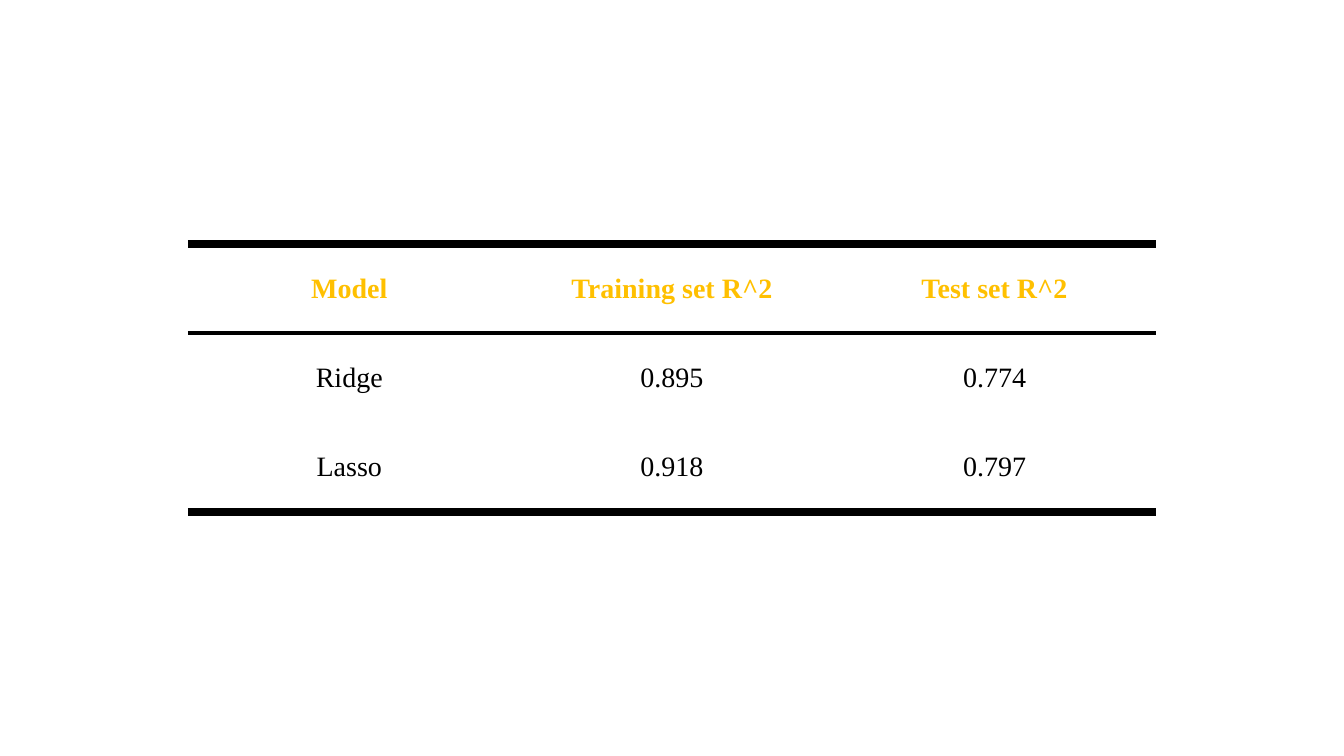
"""Build a slide with a three-line table of R^2 scores for two models."""
from lxml import etree
from pptx import Presentation, util as u
from pptx.dml.color import RGBColor
from pptx.enum import text
from pptx.oxml.ns import qn

PX = u.Inches(1) / 100.8
BLACK = RGBColor(0, 0, 0)
GOLD = RGBColor(0xFF, 0xC0, 0x00)
THICK, THIN = 6, 3


def px(n):
    return round(n * PX)


def set_border(cell, side, index, width):
    ln = etree.Element(qn(f"a:ln{side}"), w=str(u.Pt(width)))
    if width:
        fill = etree.SubElement(ln, qn("a:solidFill"))
        etree.SubElement(fill, qn("a:srgbClr"), val=str(BLACK))
    else:
        etree.SubElement(ln, qn("a:noFill"))
    cell._tc.get_or_add_tcPr().insert(index, ln)


prs = Presentation()
prs.slide_width, prs.slide_height = px(1344), px(756)
s = prs.slides.add_slide(prs.slide_layouts[6])

scores = [
    ["Model", "Training set R^2", "Test set R^2"],
    ["Ridge", "0.895", "0.774"],
    ["Lasso", "0.918", "0.797"],
]
rules = [THICK, THIN, 0, THICK]

table = s.shapes.add_table(3, 3, px(188), px(244), px(968), px(268)).table
table.first_row = False
table.horz_banding = False

for row, values in enumerate(scores):
    for col, value in enumerate(values):
        cell = table.cell(row, col)
        cell.text = value
        cell.vertical_anchor = text.MSO_ANCHOR.MIDDLE
        cell.fill.background()
        widths = {"L": 0, "R": 0, "T": rules[row], "B": rules[row + 1]}
        for index, (side, width) in enumerate(widths.items()):
            set_border(cell, side, index, width)
        p = cell.text_frame.paragraphs[0]
        p.alignment = text.PP_ALIGN.CENTER
        p.font.name = "Times New Roman"
        p.font.size = u.Pt(20)
        p.font.bold = row == 0
        p.font.color.rgb = GOLD if row == 0 else BLACK

prs.save("out.pptx")
